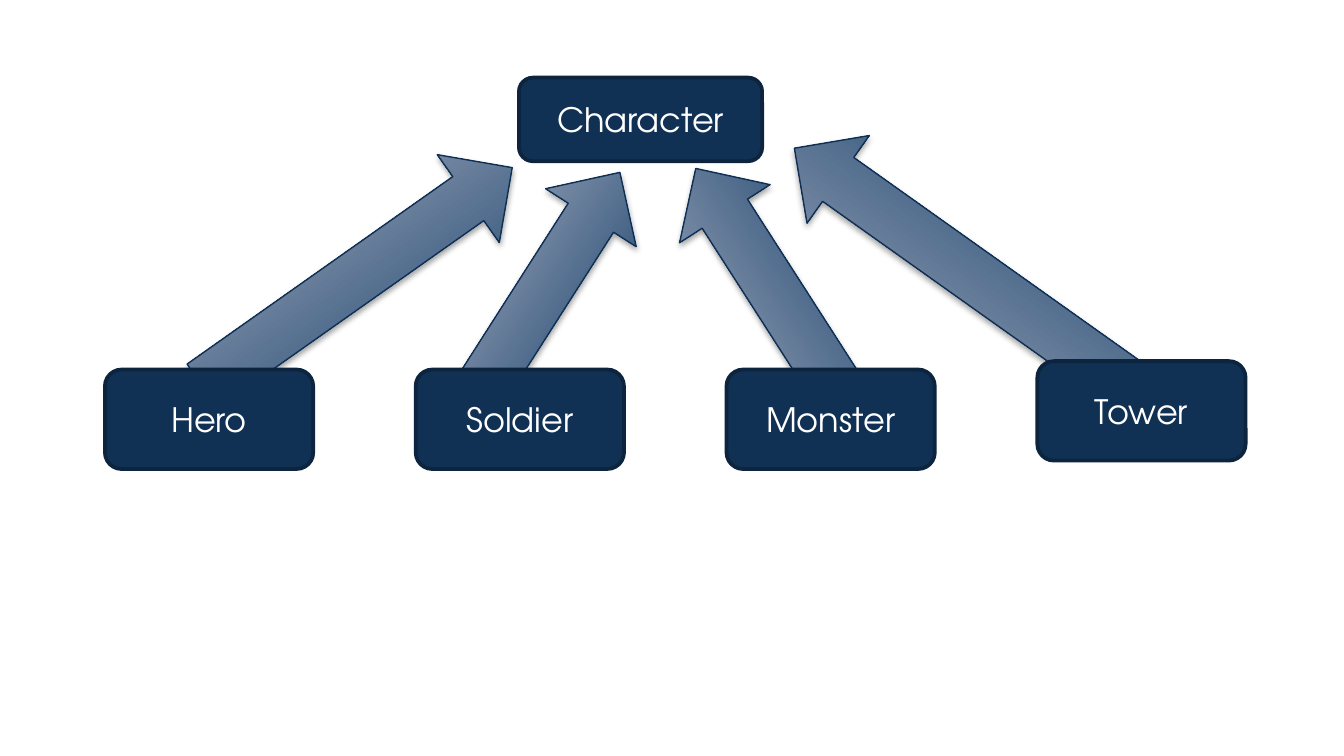
from lxml.etree import SubElement
from pptx import Presentation
from pptx.dml.color import RGBColor
from pptx.enum.shapes import MSO_SHAPE
from pptx.enum.text import MSO_ANCHOR, PP_ALIGN
from pptx.oxml.ns import qn
from pptx.util import Pt

NAVY = RGBColor(0x10, 0x31, 0x54)
BOX_EDGE = RGBColor(0x0C, 0x24, 0x3E)
ARROW_EDGE = RGBColor(0x0E, 0x30, 0x54)
ARROW_DARK = RGBColor(0x06, 0x31, 0x5E)
ARROW_LIGHT = RGBColor(0xB5, 0xBB, 0xCB)
WHITE = RGBColor(0xFF, 0xFF, 0xFF)
FONT = "TeX Gyre Adventor"

# Subclass boxes: name and top, evenly spaced from the left
SUBCLASSES = [("Hero", 198), ("Soldier", 198), ("Monster", 198), ("Tower", 193.5)]
FIRST_LEFT, STEP = 56.2, 166.5
SUBCLASS_WIDTH, SUBCLASS_HEIGHT = 111.6, 53.3

# Inheritance arrows: left, top, length, rotation
ARROWS = [
    (90, 119.5, 203, 324.8),
    (224.6, 122.4, 139.7, 302.6),
    (335.5, 129.6, 162, 237.3),
    (405.4, 113.8, 218.2, 215.4),
]
ARROW_HEIGHT = 57.6


def add_class_box(slide, name, left, top, width, height):
    box = slide.shapes.add_shape(
        MSO_SHAPE.ROUNDED_RECTANGLE, Pt(left), Pt(top), Pt(width), Pt(height))
    box.shadow.inherit = False
    box.fill.solid()
    box.fill.fore_color.rgb = NAVY
    box.line.color.rgb = BOX_EDGE
    box.line.width = Pt(2)
    box.text_frame.vertical_anchor = MSO_ANCHOR.MIDDLE
    label = box.text_frame.paragraphs[0]
    label.text = name
    label.alignment = PP_ALIGN.CENTER
    label.font.name = FONT
    label.font.size = Pt(18)
    label.font.color.rgb = WHITE


def add_soft_shadow(shape):
    shape.shadow.inherit = False
    effects = shape.element.spPr.find(qn("a:effectLst"))
    shadow = SubElement(effects, qn("a:outerShdw"), blurRad=str(Pt(3.1)),
                        dist=str(Pt(1.8)), dir="5400000", rotWithShape="0")
    color = SubElement(shadow, qn("a:srgbClr"), val="000000")
    SubElement(color, qn("a:alpha"), val="35000")


def add_inheritance_arrow(slide, left, top, length, rotation):
    arrow = slide.shapes.add_shape(
        MSO_SHAPE.RIGHT_ARROW, Pt(left), Pt(top), Pt(length), Pt(ARROW_HEIGHT))
    arrow.rotation = rotation
    arrow.fill.gradient()
    arrow.fill.gradient_angle = 90
    for stop, position, color in zip(
            arrow.fill.gradient_stops, (0, 1), (ARROW_DARK, ARROW_LIGHT)):
        stop.position = position
        stop.color.rgb = color
    arrow.line.color.rgb = ARROW_EDGE
    arrow.line.width = Pt(0.75)
    add_soft_shadow(arrow)


def main():
    presentation = Presentation()
    presentation.slide_width, presentation.slide_height = Pt(720), Pt(405)
    slide = presentation.slides.add_slide(presentation.slide_layouts[6])

    # Base class
    add_class_box(slide, "Character", 278, 41.6, 130.3, 44.8)

    # Arrows lie beneath the subclass boxes
    for arrow in ARROWS:
        add_inheritance_arrow(slide, *arrow)

    # Subclasses
    for index, (name, top) in enumerate(SUBCLASSES):
        add_class_box(slide, name, FIRST_LEFT + index * STEP, top,
                      SUBCLASS_WIDTH, SUBCLASS_HEIGHT)

    presentation.save("out.pptx")


if __name__ == "__main__":
    main()
